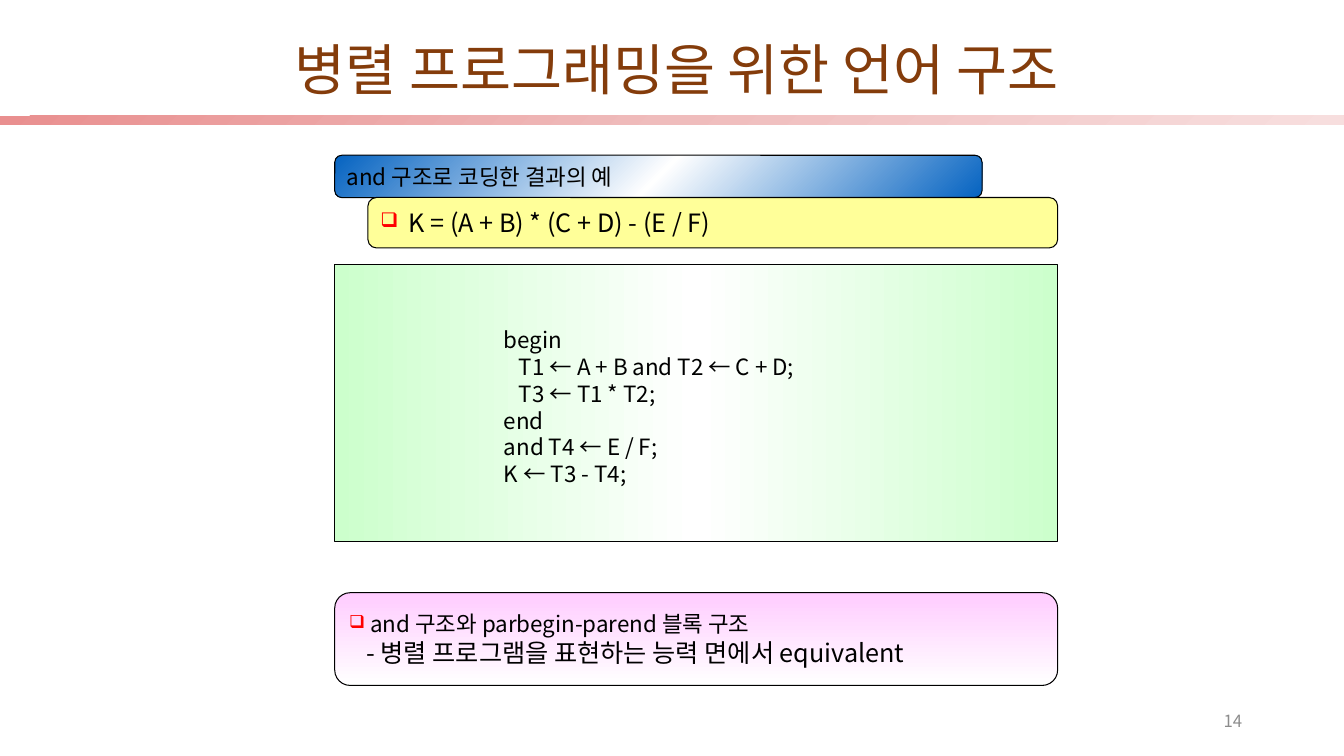
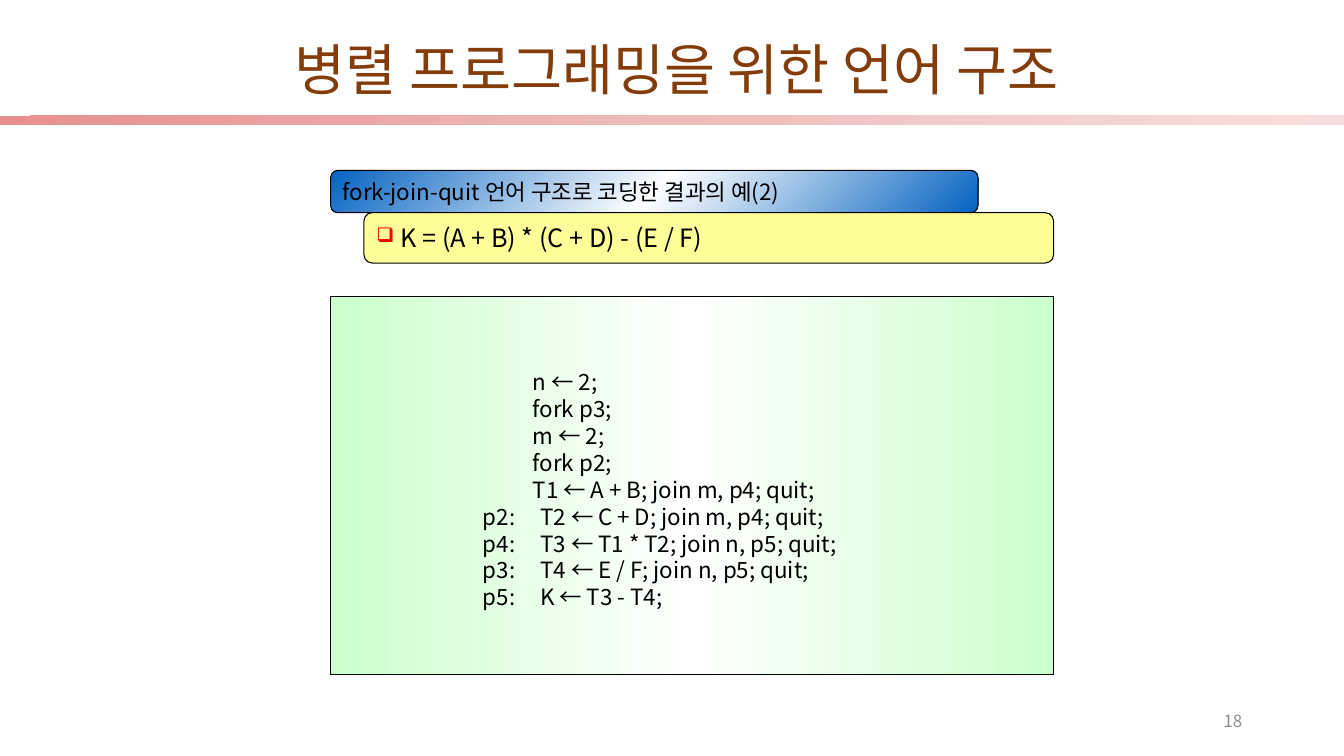
"""Build two slides on language constructs for parallel programming."""
from lxml import etree
from pptx import Presentation
from pptx.dml.color import RGBColor
from pptx.enum import shapes, text
from pptx.oxml import ns
from pptx.util import Inches, Pt

FONT = "Noto Sans CJK KR"
TITLE = "병렬 프로그래밍을 위한 언어 구조"
FORMULA = "K = (A + B) * (C + D) - (E / F)"
W, H = 13.33, 7.5
BLACK = RGBColor(0, 0, 0)
BROWN = RGBColor(0x84, 0x3C, 0x0B)
GRAY = RGBColor(0x8C, 0x8C, 0x8C)
RED = RGBColor(0xFF, 0, 0)
WHITE = RGBColor(0xFF, 0xFF, 0xFF)
BLUE = RGBColor(0x05, 0x63, 0xC1)
YELLOW = RGBColor(0xFF, 0xFF, 0x99)
GREEN = RGBColor(0xCC, 0xFF, 0xCC)
PINK = RGBColor(0xFF, 0xCC, 0xFF)
ROSE = [RGBColor(0xE9, 0x8F, 0x8F), RGBColor(0xEF, 0xBC, 0xBC), RGBColor(0xF7, 0xDE, 0xDE)]
RECT = shapes.MSO_SHAPE.RECTANGLE
ROUND = shapes.MSO_SHAPE.FLOWCHART_ALTERNATE_PROCESS
LEFT, MID, RIGHT = text.PP_ALIGN.LEFT, text.PP_ALIGN.CENTER, text.PP_ALIGN.RIGHT
WIDE, HEAD, FORM, STEP = 7.17, 0.42, 0.5, 0.33

SLIDES = [
    dict(page="14", left=3.32, top=1.54, head="and 구조로 코딩한 결과의 예",
         hang=0.28, gap=0.16, tall=2.75, inset=1.58, tab=0,
         code=["begin", "   T1 ← A + B and T2 ← C + D;", "   T3 ← T1 * T2;", "end",
               "and T4 ← E / F;", "K ← T3 - T4;"],
         note=["and 구조와 parbegin-parend 블록 구조",
               "- 병렬 프로그램을 표현하는 능력 면에서 equivalent"]),
    dict(page="18", left=3.28, top=1.69, head="fork-join-quit 언어 구조로 코딩한 결과의 예(2)",
         hang=0.24, gap=0.33, tall=3.75, inset=1.41, tab=0.57,
         code=["          n ← 2;", "          fork p3;", "          m ← 2;", "          fork p2;",
               "          T1 ← A + B; join m, p4; quit;", "p2:\tT2 ← C + D; join m, p4; quit;",
               "p4:\tT3 ← T1 * T2; join n, p5; quit;", "p3:\tT4 ← E / F; join n, p5; quit;",
               "p5:\tK ← T3 - T4;"],
         note=[]),
]


def paint(shape, fill, angle):
    """Fill a shape with one colour, or with evenly spaced gradient stops."""
    shape.fill.solid()
    if isinstance(fill, RGBColor):
        shape.fill.fore_color.rgb = fill
        return
    props = shape.element.spPr
    grad = etree.Element(ns.qn("a:gradFill"), rotWithShape="1")
    stops = etree.SubElement(grad, ns.qn("a:gsLst"))
    for i, tone in enumerate(fill):
        stop = etree.SubElement(stops, ns.qn("a:gs"), pos=str(100000 * i // (len(fill) - 1)))
        etree.SubElement(stop, ns.qn("a:srgbClr"), val=str(tone))
    etree.SubElement(grad, ns.qn("a:lin"), ang=str(angle * 60000), scaled="0")
    props.replace(props.find(ns.qn("a:solidFill")), grad)


def panel(slide, kind, box, fill, angle=0, edge=True):
    """Add a filled shape."""
    shape = slide.shapes.add_shape(kind, *map(Inches, box))
    shape.shadow.inherit = False
    paint(shape, fill, angle)
    if edge:
        shape.line.color.rgb, shape.line.width = BLACK, Pt(0.75)
    else:
        shape.line.fill.background()
    return shape


def write(shape, lines, sizes, color=BLACK, align=LEFT, space=None, anchor=text.MSO_ANCHOR.MIDDLE):
    """Put styled lines into a shape and return the paragraphs."""
    frame = shape.text_frame
    frame.text = "\n".join(lines)
    frame.word_wrap, frame.vertical_anchor = True, anchor
    for i, para in enumerate(frame.paragraphs):
        para.alignment = align
        if space:
            para.line_spacing = space
        for run in para.runs:
            font = run.font
            font.size, font.name, font.color.rgb = Pt(sizes[i % len(sizes)]), FONT, color
            etree.SubElement(font._element, ns.qn("a:ea"), typeface=FONT)
    return frame.paragraphs


def label(slide, box, *args, **style):
    """Add a text box."""
    return write(slide.shapes.add_textbox(*map(Inches, box)), *args, **style)


def indent(para, margin, hang=0):
    """Set the left margin and first-line indent in inches."""
    props = para._p.get_or_add_pPr()
    props.set("marL", str(Inches(margin)))
    props.set("indent", str(Inches(-hang)))
    return props


def bullet(para, hang):
    """Give a paragraph a small red box bullet."""
    props = indent(para, hang, hang)
    tint = etree.SubElement(props, ns.qn("a:buClr"))
    etree.SubElement(tint, ns.qn("a:srgbClr"), val=str(RED))
    etree.SubElement(props, ns.qn("a:buSzPct"), val="80000")
    etree.SubElement(props, ns.qn("a:buChar"), char="❑")


def tab(para, place):
    """Set one left tab stop."""
    stops = etree.SubElement(para._p.get_or_add_pPr(), ns.qn("a:tabLst"))
    etree.SubElement(stops, ns.qn("a:tab"), pos=str(Inches(place)), algn="l")


def build(slide, data):
    """Lay out one slide from its data."""
    left, top = data["left"], data["top"]
    form = top + HEAD
    area = form + FORM + data["gap"]
    panel(slide, RECT, (left, area, WIDE, data["tall"]), [GREEN, WHITE, GREEN])
    head = panel(slide, ROUND, (left, top, 6.42, HEAD), [BLUE, WHITE, BLUE], 45)
    write(head, [data["head"]], [16])
    sum_box = panel(slide, ROUND, (left + STEP, form, WIDE - STEP, FORM), YELLOW)
    bullet(write(sum_box, [FORMULA], [18])[0], data["hang"])
    box = (left + data["inset"], area + 0.04, 4.75, data["tall"])
    for para in label(slide, box, data["code"], [16]):
        if data["tab"]:
            tab(para, data["tab"])
    if data["note"]:
        note = panel(slide, ROUND, (left, 5.88, WIDE, 0.92), [PINK, WHITE], 90)
        first, second = write(note, data["note"], [16, 18])
        bullet(first, 0.21)
        indent(second, 0.17)
    label(slide, (9.42, 6.95, 3, 0.4), [data["page"]], [12], color=GRAY, align=RIGHT)
    label(slide, (0.6, 0.48, 12.22, 0.61), [TITLE], [39.6], color=BROWN, align=MID,
          space=0.7, anchor=text.MSO_ANCHOR.TOP)


def main():
    """Make the deck, with the band on the master."""
    deck = Presentation()
    deck.slide_width, deck.slide_height = Inches(W), Inches(H)
    pages = [deck.slides.add_slide(deck.slide_layouts[6]) for _ in SLIDES]
    band = panel(pages[0], RECT, (0, 1.15, W, 0.09), ROSE, 45, edge=False).element
    band.nvSpPr.cNvPr.set("id", "99")
    deck.slide_master.element.cSld.spTree.append(band)
    for slide, data in zip(pages, SLIDES):
        build(slide, data)
    deck.save("out.pptx")


if __name__ == "__main__":
    main()
